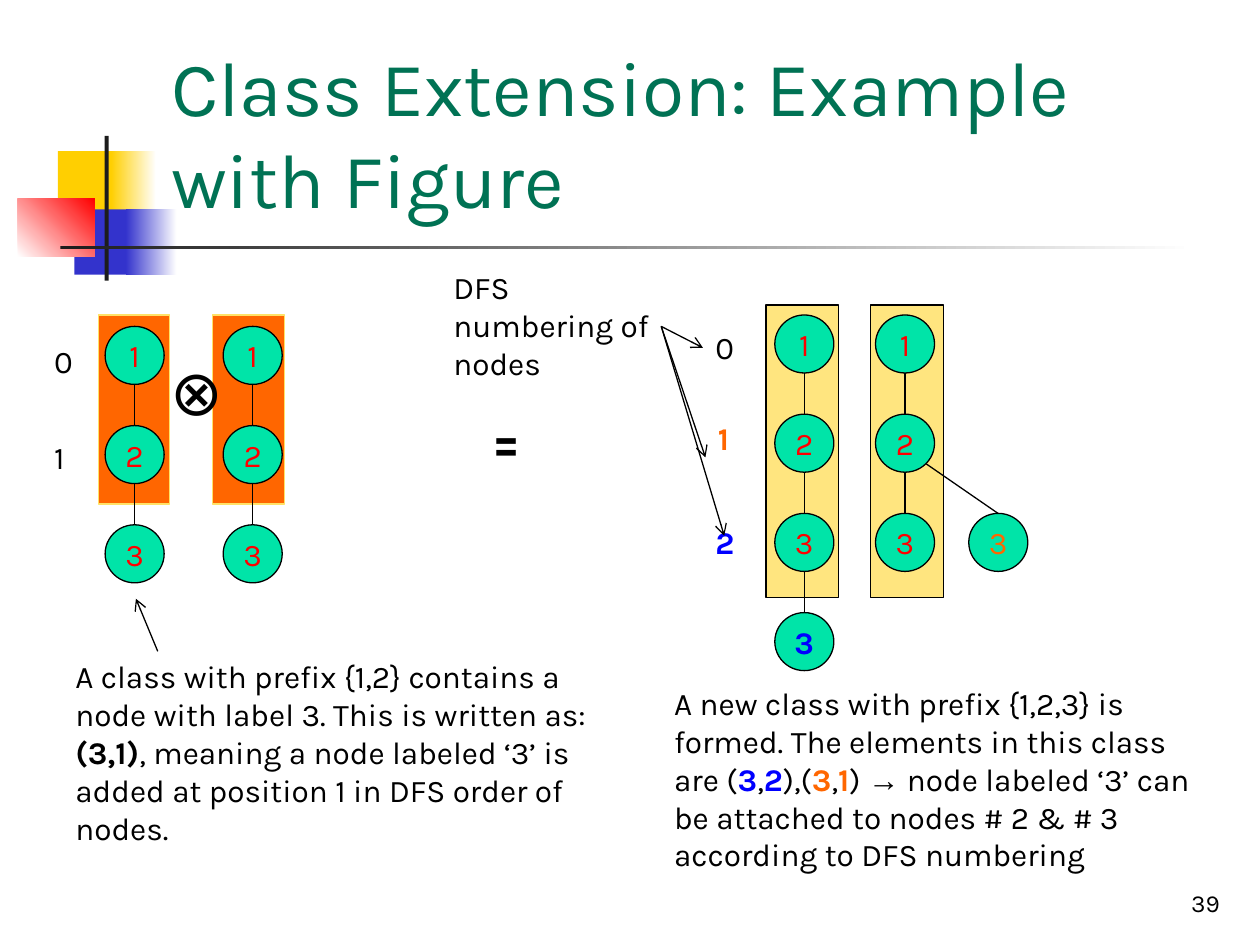
import pptx
import pptx.dml.color
import pptx.enum.dml
import pptx.enum.shapes
import pptx.enum.text
import pptx.oxml
import pptx.oxml.ns
import pptx.util

Cm = pptx.util.Cm
RGB = pptx.dml.color.RGBColor
Shape = pptx.enum.shapes.MSO_SHAPE
Align = pptx.enum.text.PP_ALIGN
Anchor = pptx.enum.text.MSO_ANCHOR

BLACK = RGB(0x00, 0x00, 0x00)
WHITE = RGB(0xFF, 0xFF, 0xFF)
INK = RGB(0x1C, 0x1C, 0x1C)
RED = RGB(0xFF, 0x00, 0x00)
BLUE = RGB(0x00, 0x00, 0xFF)
NAVY = RGB(0x33, 0x33, 0xCC)
YELLOW = RGB(0xFF, 0xCF, 0x01)
AMBER = RGB(0xFF, 0xCC, 0x00)
CREAM = RGB(0xFF, 0xE2, 0x67)
ORANGE = RGB(0xFF, 0x66, 0x00)
MINT = RGB(0x00, 0xE4, 0xA8)
GREEN = RGB(0x00, 0x72, 0x54)

NODE_W, NODE_H, STEP = 1.19, 1.17, 2.0


def write(para, text, size=18, color=BLACK, bold=False, font="Karla"):
    run = para.add_run()
    run.text = text
    run.font.name = font
    run.font.size = pptx.util.Pt(size)
    run.font.bold = bold
    run.font.color.rgb = color


def append(parent, tag, **attrs):
    child = pptx.oxml.parse_xml(f"<a:{tag} {pptx.oxml.ns.nsdecls('a')}/>")
    for name, value in attrs.items():
        child.set(name, value)
    parent.append(child)


class Board:
    edge = pptx.util.Pt(0.75)

    def __init__(self, slide):
        self.slide = slide

    def shape(self, kind, box, fill, line=None):
        item = self.slide.shapes.add_shape(kind, *map(Cm, box))
        item.shadow.inherit = False
        item.fill.solid()
        item.fill.fore_color.rgb = fill
        if line is None:
            item.line.fill.background()
        else:
            item.line.color.rgb = line
            item.line.width = self.edge
        return item

    def bar(self, box, fill, line=None, alpha=None):
        item = self.shape(Shape.RECTANGLE, box, fill, line)
        if alpha:
            color = item.fill._xPr.find(".//" + pptx.oxml.ns.qn("a:srgbClr"))
            append(color, "alpha", val=str(alpha * 1000))

    def fade(self, box, start, end, angle=0):
        item = self.shape(Shape.RECTANGLE, box, start)
        item.fill.gradient()
        item.fill.gradient_angle = angle
        for stop, color in zip(item.fill.gradient_stops, (start, end)):
            stop.color.rgb = color

    def node(self, left, top, label, **style):
        item = self.shape(Shape.OVAL, (left, top, NODE_W, NODE_H), MINT, BLACK)
        frame = item.text_frame
        frame.word_wrap = False
        frame.vertical_anchor = Anchor.MIDDLE
        para = frame.paragraphs[0]
        para.alignment = Align.CENTER
        write(para, label, **style)

    def chain(self, left, top, nodes):
        mid = left + NODE_W / 2
        for row, (label, style) in enumerate(nodes):
            place = top + row * STEP
            self.node(left, place, label, **style)
            if row:
                self.line((mid, place - STEP + NODE_H), (mid, place))

    def line(self, start, end, arrow=False):
        kind = pptx.enum.shapes.MSO_CONNECTOR.STRAIGHT
        item = self.slide.shapes.add_connector(kind, *map(Cm, start + end))
        item.line.color.rgb = BLACK
        item.line.width = self.edge
        if arrow:
            append(item.line._get_or_add_ln(), "tailEnd", type="arrow")
        append(item._element.spPr, "effectLst")

    def text(self, box, *parts, align=Align.LEFT, anchor=Anchor.TOP):
        frame = self.slide.shapes.add_textbox(*map(Cm, box)).text_frame
        frame.word_wrap = True
        frame.vertical_anchor = anchor
        para = frame.paragraphs[0]
        para.alignment = align
        for text, style in parts:
            write(para, text, **style)


def main():
    deck = pptx.Presentation()
    deck.slide_width, deck.slide_height = Cm(25.4), Cm(19.05)
    board = Board(deck.slides.add_slide(deck.slide_layouts[6]))

    board.bar((1.17, 3.05, 1.22, 1.32), YELLOW)
    board.fade((2.24, 3.05, 0.91, 1.32), YELLOW, WHITE)
    board.bar((1.5, 4.22, 1.17, 1.32), NAVY)
    board.fade((2.54, 4.22, 1.02, 1.32), NAVY, WHITE)
    board.fade((0.36, 4.01, 1.55, 1.17), WHITE, RED, angle=45)
    board.bar((2.11, 2.74, 0.08, 2.92), INK)
    board.fade((1.22, 4.95, 22.86, 0.08), INK, WHITE)

    board.text((3.2, 0.58, 21.64, 4.06),
               ("Class Extension: Example with Figure", dict(size=44, color=GREEN)),
               anchor=Anchor.BOTTOM)
    board.text((19.56, 17.35, 5.28, 1.27), ("39", dict(size=14)),
               align=Align.RIGHT, anchor=Anchor.BOTTOM)

    for left in (1.98, 4.29):
        board.bar((left, 6.35, 1.44, 3.81), ORANGE, CREAM)
    for left in (15.44, 17.55):
        board.bar((left, 6.15, 1.47, 5.89), AMBER, BLACK, alpha=50)

    strong = dict(color=BLUE, bold=True)
    warm = dict(color=ORANGE, bold=True)
    base = [(label, dict(color=RED)) for label in "123"]
    board.chain(2.12, 6.58, base)
    board.chain(4.5, 6.58, base)
    board.chain(15.62, 6.35, base + [("3", strong)])
    board.chain(17.65, 6.35, base)
    board.node(19.53, 10.35, "3", color=ORANGE)
    board.line((18.67, 9.35), (20.12, 10.35))

    board.text((3.18, 6.98, 1.04, 1.78), ("⊗", dict(size=36)))
    board.text((9.65, 8.05, 2.85, 1.63), ("=", dict(size=32, bold=True)))

    for left, top, label, style in (
        (0.84, 6.78, "0", {}),
        (0.84, 8.71, "1", {}),
        (14.17, 6.48, "0", {}),
        (14.22, 8.33, "1", warm),
        (14.17, 10.41, "2", strong),
    ):
        board.text((left, top, 0.84, 1.02), (label, style))

    board.text((1.27, 13.13, 11.43, 4.06),
               ("A class with prefix {1,2} contains a node with label 3. "
                "This is written as: ", {}),
               ("(3,1)", dict(bold=True)),
               (", meaning a node labeled ‘3’ is added at position 1 "
                "in DFS order of nodes.", {}))
    board.text((13.34, 13.67, 11.43, 4.06),
               ("A new class with prefix {1,2,3} is formed. "
                "The elements in this class are (", {}),
               ("3", strong), (",", {}), ("2", strong), ("),(", {}),
               ("3", warm), (",", {}), ("1", warm), (") ", {}),
               ("→", dict(font="Arial")),
               (" node labeled ‘3’ can be attached to nodes # 2 & # 3 "
                "according to DFS numbering", {}))
    board.text((8.89, 5.28, 4.45, 2.54), ("DFS numbering of nodes", {}))

    for end in ((14.17, 7.01), (14.22, 9.22), (14.6, 10.8)):
        board.line((13.33, 6.58), end, arrow=True)
    board.line((3.18, 13.13), (2.74, 12.07), arrow=True)

    deck.save("out.pptx")


if __name__ == "__main__":
    main()
